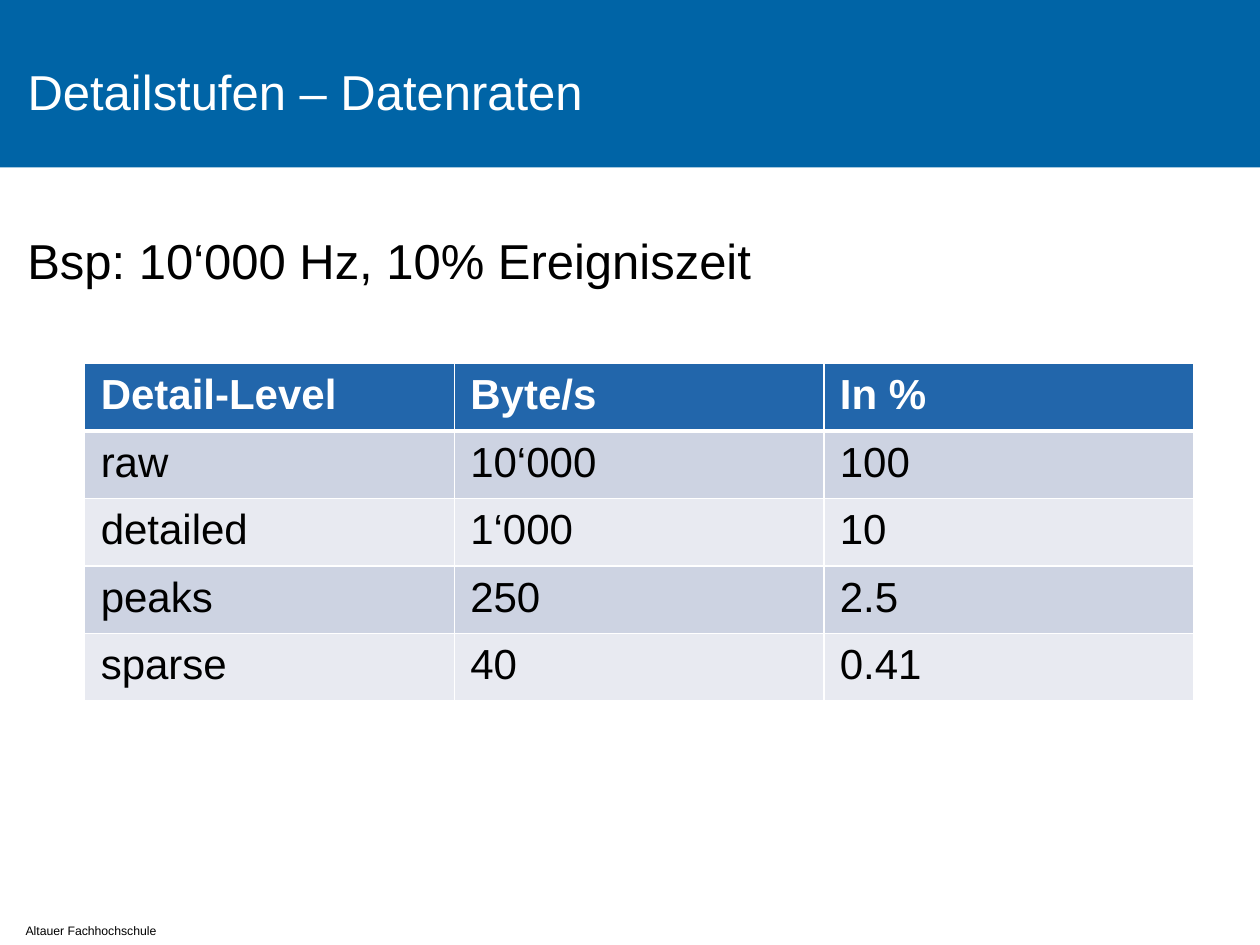
from lxml.etree import SubElement
from pptx import Presentation
from pptx.dml.color import RGBColor
from pptx.enum.shapes import MSO_SHAPE
from pptx.enum.text import MSO_ANCHOR, PP_ALIGN
from pptx.oxml.ns import qn
from pptx.util import Pt

FONT = "Arial"
WHITE, BLACK, BAND_BLUE, HEADER_BLUE = "FFFFFF", "000000", "0064A6", "2266AB"
ROW_FILLS = ("CDD3E2", "E8EAF1")
RATES = (
    ("Detail-Level", "Byte/s", "In %"),
    ("raw", "10‘000", "100"),
    ("detailed", "1‘000", "10"),
    ("peaks", "250", "2.5"),
    ("sparse", "40", "0.41"),
)


def paint(target, colour):
    """Give a fill or line format a solid hex colour."""
    target.solid()
    target.fore_color.rgb = RGBColor.from_string(colour)


def write(frame, text, size, colour, bold=False):
    """Add one formatted run to the first paragraph and return that paragraph."""
    para = frame.paragraphs[0]
    para.alignment = PP_ALIGN.LEFT
    span = para.add_run()
    span.text = text
    span.font.name = FONT
    span.font.size = Pt(size)
    span.font.bold = bold
    span.font.color.rgb = RGBColor.from_string(colour)
    return para


def add_text(page, area, text, size):
    """Place a wrapping text box in the area and return its paragraph."""
    box = page.shapes.add_textbox(*map(Pt, area))
    box.text_frame.word_wrap = True
    return write(box.text_frame, text, size, BLACK)


def add_heading(page, band_area, title_area, text):
    """Place the title on a coloured band."""
    band = page.shapes.add_shape(MSO_SHAPE.RECTANGLE, *map(Pt, band_area))
    band.shadow.inherit = False
    paint(band.fill, BAND_BLUE)
    band.line.fill.background()
    page.shapes.element.insert(2, band.element)
    title = page.shapes.title
    title.left, title.top, title.width, title.height = map(Pt, title_area)
    title.text_frame.vertical_anchor = MSO_ANCHOR.MIDDLE
    write(title.text_frame, text, 28, WHITE)


def add_border(cell, side, width):
    """Draw a white border on one side of a cell."""
    properties = cell._tc.get_or_add_tcPr()
    line = SubElement(properties, qn(f"a:ln{side}"), w=str(Pt(width)))
    fill = SubElement(line, qn("a:solidFill"))
    SubElement(fill, qn("a:srgbClr"), val=WHITE)


def add_rate_table(page, area, rows):
    """Place the table of data rates with a bold header and banded rows."""
    frame = page.shapes.add_table(len(rows), len(rows[0]), *map(Pt, area))
    for i, values in enumerate(rows):
        header = i == 0
        for j, value in enumerate(values):
            cell = frame.table.cell(i, j)
            cell.margin_left = cell.margin_right = Pt(9.2)
            cell.margin_top = cell.margin_bottom = Pt(4.8)
            for side in "LRTB":
                heavy = (side == "B" and header) or (side == "T" and i == 1)
                add_border(cell, side, 3 if heavy else 1)
            paint(cell.fill, HEADER_BLUE if header else ROW_FILLS[(i - 1) % 2])
            write(cell.text_frame, value, 24, WHITE if header else BLACK, header)


def main():
    """Build and save the slide."""
    deck = Presentation()
    deck.slide_width, deck.slide_height = Pt(720), Pt(540)
    page = deck.slides.add_slide(deck.slide_layouts[5])
    add_heading(page, (0, 0, 720, 95.6), (8.6, 15.1, 547, 73.4),
                "Detailstufen – Datenraten")
    add_text(page, (7.6, 524, 124, 16), "Altauer Fachhochschule", 7)
    example = add_text(page, (8.6, 128.2, 702.7, 357),
                       "Bsp: 10‘000 Hz, 10% Ereigniszeit", 28)
    example.space_before = Pt(5.6)
    add_rate_table(page, (48.4, 207.7, 633.6, 193), RATES)
    deck.save("out.pptx")


if __name__ == "__main__":
    main()
